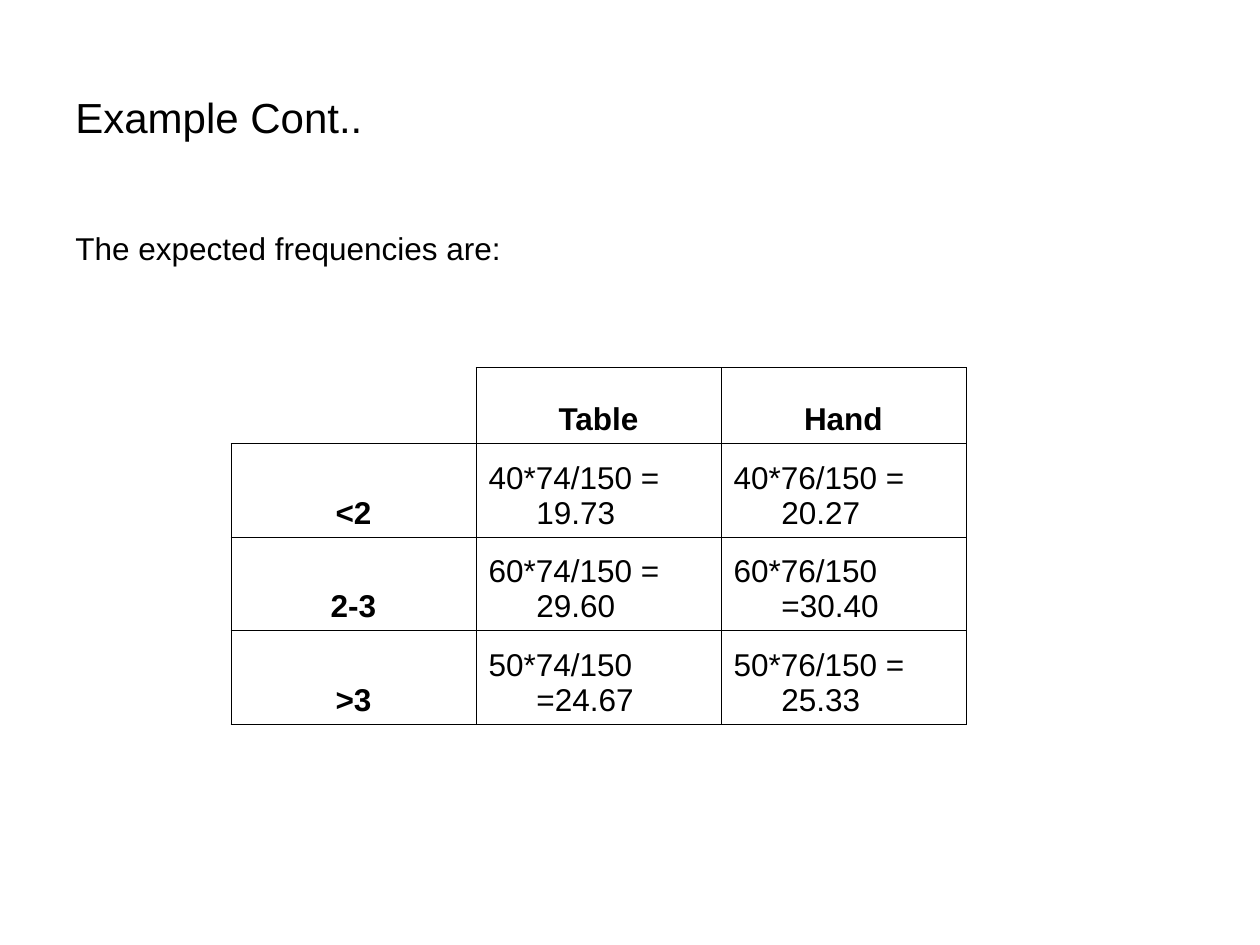
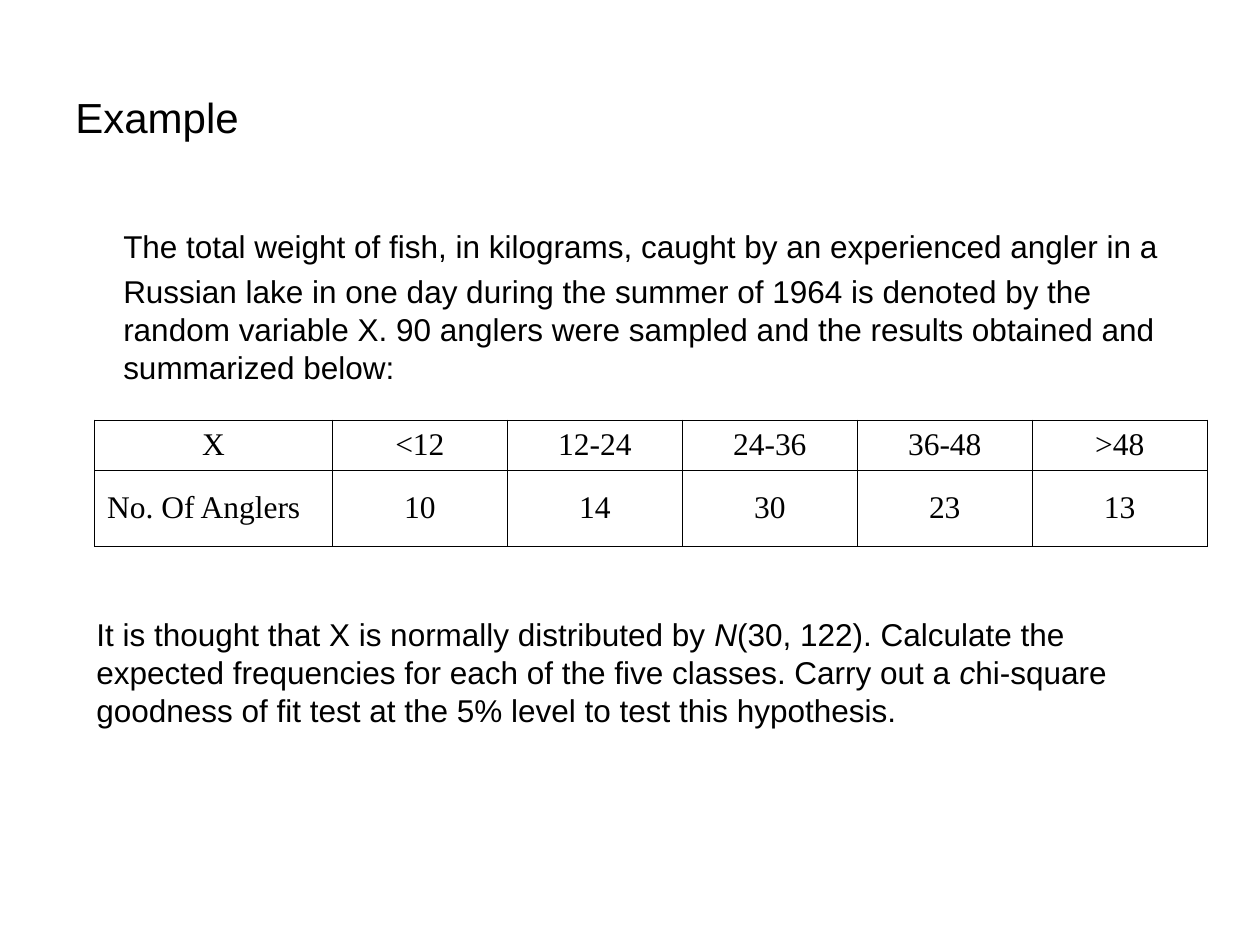
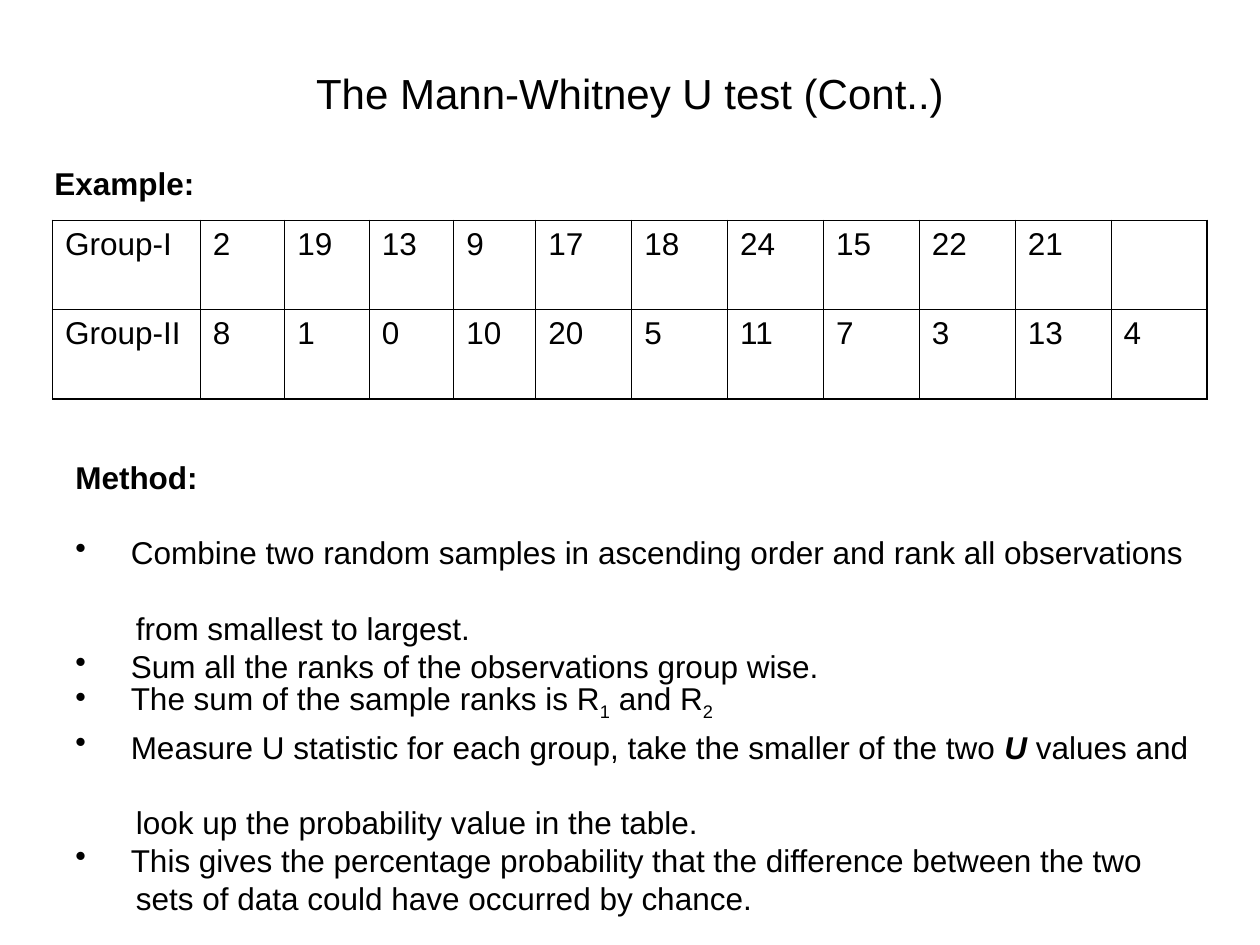
import pptx
import pptx.dml.color
import pptx.enum.text
import pptx.oxml.ns
import pptx.util
from lxml import etree

COLOURS = {"ink": "000000", "paper": "FFFFFF"}
BODY, SERIF = "Arial", "Times New Roman"
TITLE_SIZE, TEXT_SIZE = 24, 18
TEXT_LINE, CELL_LINE = 21.6, 20   # line pitch in points
PARAGRAPH_GAP = 4.5
THIN, THICK = 0.45, 1.08          # rules in points
COLUMNS, ROWS = 120, 90           # slide grid
ALIGN = pptx.enum.text.PP_ALIGN
ANCHOR = pptx.enum.text.MSO_ANCHOR
TITLE_AREA = (6, 3.6, 108, 15)


def rgb(name):
    """Return a palette colour."""
    return pptx.dml.color.RGBColor.from_string(COLOURS[name])


def child(parent, tag, **attributes):
    """Append a DrawingML element to parent."""
    return etree.SubElement(parent, pptx.oxml.ns.qn("a:" + tag), attributes)


class Deck:
    """Holds the presentation, its style and the current slide."""

    def __init__(self):
        """Start a 10 by 7.5 inch presentation."""
        self.show = pptx.Presentation()
        self.show.slide_width = pptx.util.Inches(10)
        self.show.slide_height = pptx.util.Inches(7.5)
        self.slide = None

    def new_slide(self):
        """Add a blank slide with the paper colour."""
        self.slide = self.show.slides.add_slide(self.show.slide_layouts[6])
        fill = self.slide.background.fill
        fill.solid()
        fill.fore_color.rgb = rgb("paper")

    def place(self, area):
        """Turn grid left, top, width and height into slide lengths."""
        across = self.show.slide_width / COLUMNS
        down = self.show.slide_height / ROWS
        return [round(n * unit) for n, unit in zip(area, (across, down) * 2)]

    def typeset(self, paragraph, text, size=TEXT_SIZE, face=BODY, bold=False,
                align=ALIGN.LEFT, line=None, before=0, margin=0, first=0,
                bullet=None):
        """Fill a paragraph from a string or from (text, style) runs."""
        font = paragraph.font
        font.size, font.name, font.bold = pptx.util.Pt(size), face, bold
        font.color.rgb = rgb("ink")
        paragraph.alignment = align
        paragraph.space_before = pptx.util.Pt(before)
        if line:
            paragraph.line_spacing = pptx.util.Pt(line)
        properties = paragraph._p.get_or_add_pPr()
        properties.set("marL", str(pptx.util.Inches(margin)))
        properties.set("indent", str(pptx.util.Inches(first)))
        if bullet:
            mark = etree.Element(pptx.oxml.ns.qn("a:buChar"), char=bullet)
            properties.find(pptx.oxml.ns.qn("a:defRPr")).addprevious(mark)
        for words, style in [(text, "")] if isinstance(text, str) else text:
            run = paragraph.add_run()
            run.text = words
            if "bold" in style:
                run.font.bold = True
            if "italic" in style:
                run.font.italic = True
            if "sub" in style:
                run._r.get_or_add_rPr().set("baseline", "-25000")

    def text(self, area, paragraphs, anchor=ANCHOR.TOP, top=0.05, right=0.1):
        """Add a text box; each paragraph is (text, options for typeset)."""
        frame = self.slide.shapes.add_textbox(*self.place(area)).text_frame
        frame.word_wrap = True
        frame.vertical_anchor = anchor
        frame.margin_top = pptx.util.Inches(top)
        frame.margin_right = pptx.util.Inches(right)
        for number, (words, options) in enumerate(paragraphs):
            paragraph = frame.add_paragraph() if number else frame.paragraphs[0]
            self.typeset(paragraph, words, **{"line": TEXT_LINE, **options})

    def title(self, words, area=TITLE_AREA, align=ALIGN.LEFT):
        """Add the slide title."""
        self.text(area, [(words, {"size": TITLE_SIZE, "align": align, "line": None})],
                  ANCHOR.MIDDLE)

    def rule(self, cell, side, width):
        """Draw one cell border, or none when width is 0."""
        edge = child(cell._tc.get_or_add_tcPr(), "ln" + side,
                     w=str(pptx.util.Pt(width)))
        if width:
            child(child(edge, "solidFill"), "srgbClr", val=COLOURS["ink"])
        else:
            child(edge, "noFill")

    def table(self, area, values, widths, heights, style, frame=THIN,
              anchor=ANCHOR.TOP, open_corner=False):
        """Add a ruled table; style(row, column) gives options for typeset."""
        left, top, width, height = self.place(area)
        grid = self.slide.shapes.add_table(len(values), len(widths),
                                           left, top, width, height).table
        grid.first_row = grid.horz_banding = False
        for column, share in zip(grid.columns, widths):
            column.width = round(width * share / sum(widths))
        for row, share in zip(grid.rows, heights):
            row.height = round(height * share / sum(heights))
        last_row, last_column = len(values) - 1, len(widths) - 1
        for r, line in enumerate(values):
            for c, value in enumerate(line):
                cell = grid.cell(r, c)
                cell.vertical_anchor = anchor
                self.typeset(cell.text_frame.paragraphs[0], value, **style(r, c))
                outer = {"L": c == 0, "R": c == last_column,
                         "T": r == 0, "B": r == last_row}
                for side, on_frame in outer.items():
                    bare = open_corner and r == c == 0 and on_frame
                    self.rule(cell, side, 0 if bare else frame if on_frame else THIN)
                cell.fill.background()


def expected_frequencies(deck):
    """Build the slide of expected frequencies."""
    deck.new_slide()
    deck.text((6, 17, 107, 10), [("The expected frequencies are:", {})], top=0.4)

    def style(row, column):
        """Centre bold headings and hang the sums."""
        if row == 0 or column == 0:
            return {"bold": True, "align": ALIGN.CENTER}
        return {"margin": 0.38, "first": -0.38, "line": CELL_LINE}

    deck.table((22, 35, 70, 34), [
        ["", "Table", "Hand"],
        ["<2", "40*74/150 = 19.73", "40*76/150 = 20.27"],
        ["2-3", "60*74/150 = 29.60", "60*76/150 =30.40"],
        [">3", "50*74/150 =24.67", "50*76/150 = 25.33"],
    ], [1] * 3, [0.6] + [0.74] * 3, style, anchor=ANCHOR.BOTTOM, open_corner=True)
    deck.title("Example Cont..")


def anglers(deck):
    """Build the goodness of fit example."""
    deck.new_slide()
    inset = {"margin": 0.38, "before": PARAGRAPH_GAP}
    deck.text((6, 21, 106, 23), [
        ("The total weight of fish, in kilograms, caught by an experienced "
         "angler in a", inset),
        ("Russian lake in one day during the summer of 1964 is denoted by the "
         "random variable X. 90 anglers were sampled and the results obtained "
         "and summarized below:", inset),
    ])

    def style(row, column):
        """Centre all but the row label."""
        label = row == 1 and column == 0
        return {"face": SERIF, "align": ALIGN.LEFT if label else ALIGN.CENTER}

    deck.table((9, 40, 106, 12), [
        ["X", "<12", "12-24", "24-36", "36-48", ">48"],
        ["No. Of Anglers", "10", "14", "30", "23", "13"],
    ], [1.89] + [1.39] * 5, [0.4, 0.6], style, anchor=ANCHOR.MIDDLE)
    deck.title("Example")
    deck.text((8, 58, 105, 17.5), [([
        ("It is thought that X is normally distributed by ", ""),
        ("N", "italic"),
        ("(30, 122). Calculate the expected frequencies for each of the five "
         "classes. Carry out a ", ""),
        ("c", "italic"),
        ("hi-square goodness of fit test at the 5% level to test this "
         "hypothesis.", ""),
    ], {})])


def mann_whitney(deck):
    """Build the Mann-Whitney example and method."""
    deck.new_slide()
    deck.title("The Mann-Whitney U test (Cont..)", (6, 3.6, 108, 10.4), ALIGN.CENTER)
    deck.text((4, 15, 53, 7), [("Example:", {"bold": True})])
    group_one = [2, 19, 13, 9, 17, 18, 24, 15, 22, 21, ""]
    group_two = [8, 1, 0, 10, 20, 5, 11, 7, 3, 13, 4]
    deck.table((5, 21, 110, 17), [
        ["Group-I", *map(str, group_one)],
        ["Group-II", *map(str, group_two)],
    ], [1.17] + [0.67] * 3 + [0.65] + [0.76] * 7, [1, 1],
        lambda row, column: {"before": PARAGRAPH_GAP}, frame=THICK)

    step = {"margin": 0.44, "first": -0.44, "bullet": "•"}
    more = {"margin": 0.48}
    skip = {"before": TEXT_LINE}
    deck.text((6, 43, 109, 45), [
        ("Method:", {"bold": True}),
        ("Combine two random samples in ascending order and rank all "
         "observations", {**step, **skip}),
        ("from smallest to largest.", {**more, **skip}),
        ("Sum all the ranks of the observations group wise.", step),
        ([("The sum of the sample ranks is R", ""), ("1", "sub"),
          (" and R", ""), ("2", "sub")], step),
        ([("Measure U statistic for each group, take the smaller of the two ", ""),
          ("U ", "bold italic"), ("values and", "")], {**step, "before": 3}),
        ("look up the probability value in the table.", {**more, **skip}),
        ("This gives the percentage probability that the difference between "
         "the two", step),
        ("sets of data could have occurred by chance.", more),
    ], right=0.05)


deck = Deck()
for build in (expected_frequencies, anglers, mann_whitney):
    build(deck)
deck.show.save("out.pptx")
